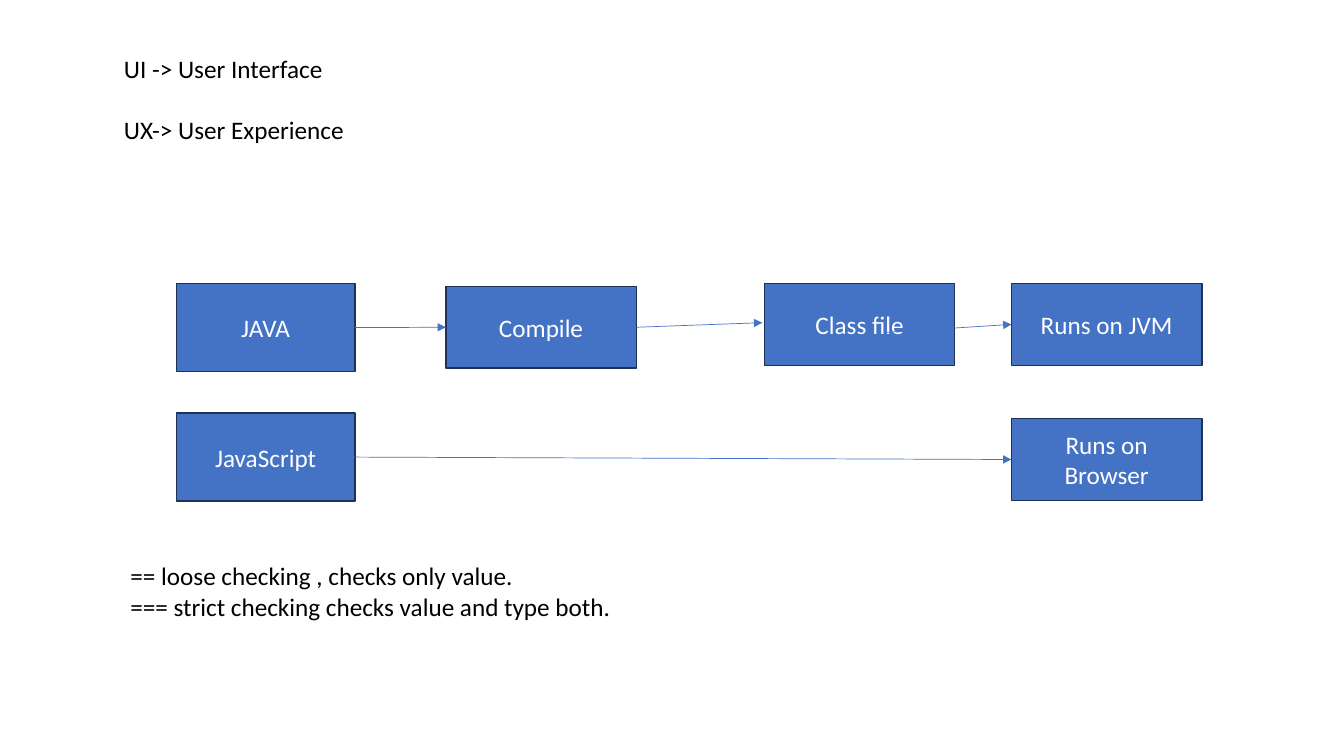
from lxml.etree import SubElement
from pptx import Presentation
from pptx.dml.color import RGBColor
from pptx.enum.shapes import MSO_CONNECTOR, MSO_SHAPE
from pptx.enum.text import MSO_ANCHOR, MSO_AUTO_SIZE, PP_ALIGN
from pptx.oxml.ns import qn
from pptx.util import Pt

BLUE = RGBColor(0x44, 0x72, 0xC4)
NAVY = RGBColor(0x1E, 0x32, 0x56)
BLACK = RGBColor(0, 0, 0)
WHITE = RGBColor(0xFF, 0xFF, 0xFF)
LEFT, RIGHT = 1, 3  # connection sites of a rectangle


class Deck:
    font = "Calibri"
    size = 18

    def __init__(self, slide):
        self.s = slide

    def run(self, p, text, color):
        r = p.add_run()
        r.text = text
        r.font.name = self.font
        r.font.size = Pt(self.size)
        r.font.color.rgb = color

    def text(self, x, y, w, h, lines, gap=0):
        tf = self.s.shapes.add_textbox(Pt(x), Pt(y), Pt(w), Pt(h)).text_frame
        tf.word_wrap = True
        tf.auto_size = MSO_AUTO_SIZE.SHAPE_TO_FIT_TEXT
        for i, line in enumerate(lines):
            p = tf.add_paragraph() if i else tf.paragraphs[0]
            p.space_before = Pt(gap if i else 0)
            self.run(p, line, BLACK)

    def box(self, x, y, w, h, text):
        sp = self.s.shapes.add_shape(MSO_SHAPE.RECTANGLE, Pt(x), Pt(y), Pt(w), Pt(h))
        sp.shadow.inherit = False
        sp.fill.solid()
        sp.fill.fore_color.rgb = BLUE
        sp.line.color.rgb = NAVY
        sp.line.width = Pt(1)
        tf = sp.text_frame
        tf.word_wrap = True
        tf.vertical_anchor = MSO_ANCHOR.MIDDLE
        p = tf.paragraphs[0]
        p.alignment = PP_ALIGN.CENTER
        self.run(p, text, WHITE)
        return sp

    def arrow(self, begin, end):
        """Each end is a point (x, y) or a box to join at its facing side."""
        cx = self.s.shapes.add_connector(MSO_CONNECTOR.STRAIGHT, 0, 0, 0, 0)
        if isinstance(begin, tuple):
            cx.begin_x, cx.begin_y = map(Pt, begin)
        else:
            cx.begin_connect(begin, RIGHT)
        if isinstance(end, tuple):
            cx.end_x, cx.end_y = map(Pt, end)
        else:
            cx.end_connect(end, LEFT)
        cx.line.color.rgb = BLUE
        cx.line.width = Pt(0.5)
        SubElement(cx.line._get_or_add_ln(), qn("a:tailEnd"), type="triangle")
        SubElement(cx._element.spPr, qn("a:effectLst"))


def main():
    prs = Presentation()
    prs.slide_width, prs.slide_height = Pt(960), Pt(540)
    deck = Deck(prs.slides.add_slide(prs.slide_layouts[6]))

    # Definitions
    deck.text(81.5, 34.5, 762, 94, ["UI -> User Interface", "UX-> User Experience"], gap=22)

    # Flow boxes
    source, step = (127.5, 63), (136, 58.5)
    java = deck.box(126, 202.5, *source, "JAVA")
    compiling = deck.box(318.5, 204.5, *step, "Compile")
    deck.box(546, 202.5, *step, "Class file")
    jvm = deck.box(722.5, 202.5, *step, "Runs on JVM")
    javascript = deck.box(126, 295, *source, "JavaScript")
    browser = deck.box(722.5, 299, *step, "Runs on Browser")

    # Arrows
    deck.arrow(java, compiling)
    deck.arrow(compiling, (544.5, 230.5))
    deck.arrow((631.5, 237.5), jvm)
    deck.arrow(javascript, browser)

    # Equality operators
    deck.text(86, 397, 636, 51, ["== loose checking , checks only value.",
                                 "=== strict checking checks value and type both."])

    prs.save("out.pptx")


if __name__ == "__main__":
    main()
